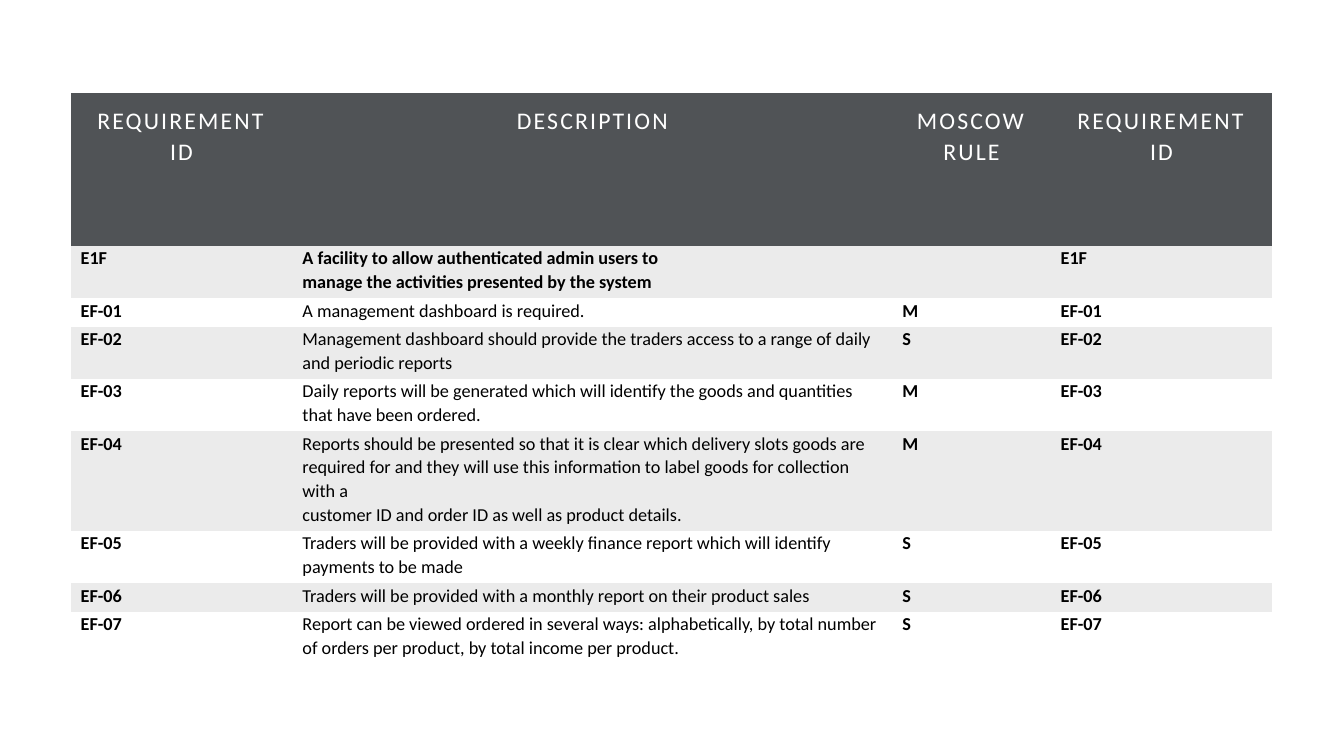
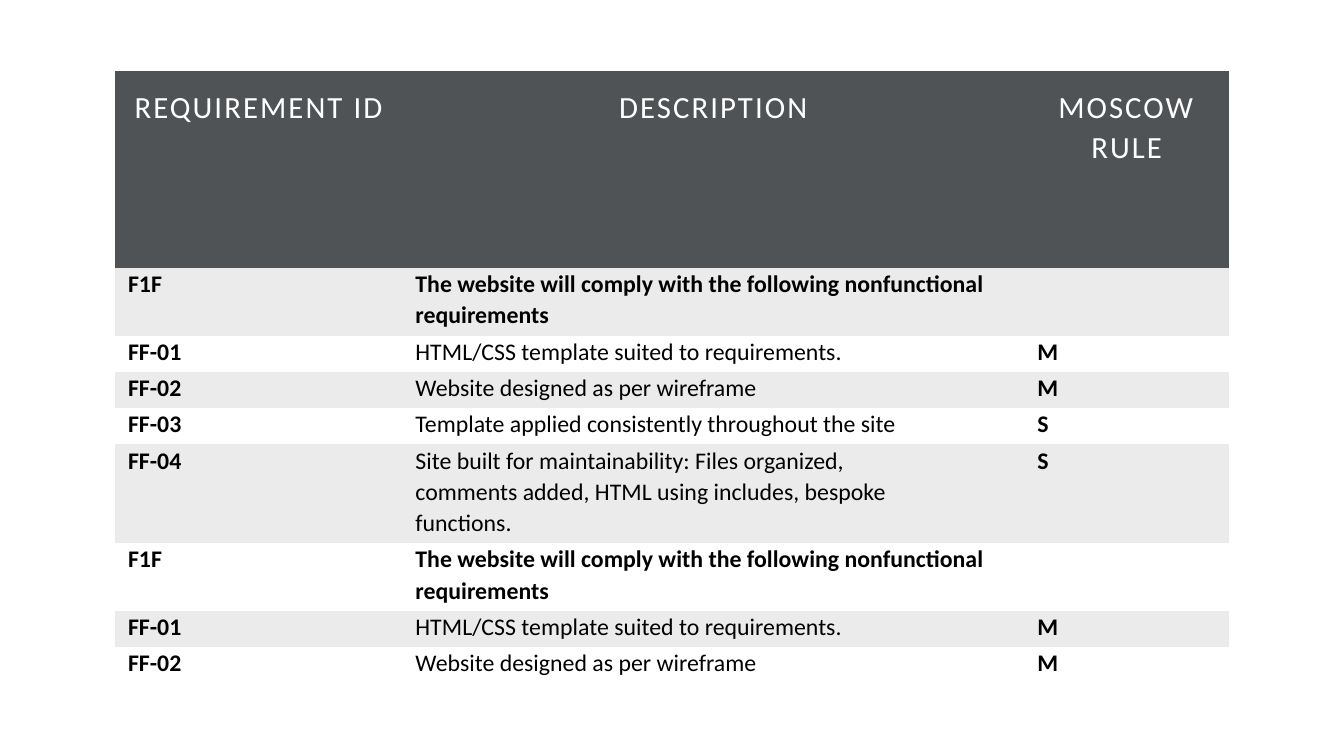
"""Build two slides of requirement tables with MoSCoW rules."""
from pptx import Presentation
from pptx import util as u
from pptx.dml.color import RGBColor
from pptx.enum import text

HUES = {"head": "505356", "band": "EBEBEB", "light": "FFFFFF", "ink": "000000"}
FACE = "Calibri"
PLAIN = "{2D5ABB26-0587-4C30-8999-92F81FD0307C}"
HEADS = ("REQUIREMENT ID", "DESCRIPTION", "MOSCOW RULE")

ADMIN = [
    ("E1F", "A facility to allow authenticated admin users to\n"
            "manage the activities presented by the system", ""),
    ("EF-01", "A management dashboard is required.", "M"),
    ("EF-02", "Management dashboard should provide the traders access to a range "
              "of daily and periodic reports", "S"),
    ("EF-03", "Daily reports will be generated which will identify the goods and "
              "quantities that have been ordered.", "M"),
    ("EF-04", "Reports should be presented so that it is clear which delivery slots "
              "goods are required for and they will use this information to label "
              "goods for collection with a\n"
              "customer ID and order ID as well as product details.", "M"),
    ("EF-05", "Traders will be provided with a weekly finance report which will "
              "identify payments to be made", "S"),
    ("EF-06", "Traders will be provided with a monthly report on their product sales",
     "S"),
    ("EF-07", "Report can be viewed ordered in several ways: alphabetically, by total "
              "number of orders per product, by total income per product.", "S"),
]
START = [
    ("F1F", "The website will comply with the following nonfunctional requirements", ""),
    ("FF-01", "HTML/CSS template suited to requirements.", "M"),
    ("FF-02", "Website designed as per wireframe", "M"),
]
SITE = START + [
    ("FF-03", "Template applied consistently throughout the site", "S"),
    ("FF-04", "Site built for maintainability: Files organized,\n"
              "comments added, HTML using includes, bespoke\nfunctions.", "S"),
] + START

SLIDES = [
    {"items": ADMIN, "at": (0.7, 0.92), "cols": (2.2, 5.95, 1.57, 2.2),
     "head": 1.52, "rows": {1: 0.28, 2: 0.52, 4: 0.99},
     "lines": (2, 1, 2, 2, 4, 2, 1, 2), "sizes": (17, 13), "pads": (0.12, 0.1)},
    {"items": SITE, "at": (1.14, 0.7), "cols": (2.85, 6.17, 2.03),
     "head": 1.96, "rows": {1: 0.36, 2: 0.67, 3: 0.98},
     "lines": (2, 1, 1, 1, 3, 2, 1, 1), "sizes": (22, 17), "pads": (0.16, 0.13)},
]


def shade(fill, hue):
    fill.solid()
    fill.fore_color.rgb = RGBColor.from_string(HUES[hue])


def write(cell, words, size, pad, head, bold):
    edges = {"margin_left": pad, "margin_right": pad,
             "margin_top": pad if head else 0, "margin_bottom": pad if head else 0}
    for name, value in edges.items():
        setattr(cell, name, u.Inches(value))
    cell.text = words
    look = {"name": FACE, "size": u.Pt(size), "bold": bold}
    for para in cell.text_frame.paragraphs:
        para.line_spacing = 1.07
        para.alignment = text.PP_ALIGN.CENTER if head else text.PP_ALIGN.LEFT
        for run in para.runs:
            for name, value in look.items():
                setattr(run.font, name, value)
            run.font.color.rgb = RGBColor.from_string(HUES["light" if head else "ink"])
            if head:
                run.font._element.set("spc", "150")


def draw(slide, plan):
    cols = plan["cols"]
    tall = [plan["head"]] + [plan["rows"][n] for n in plan["lines"]]
    box = (*plan["at"], sum(cols), sum(tall))
    table = slide.shapes.add_table(len(tall), len(cols), *map(u.Inches, box)).table
    table._tbl.tblPr[0].text = PLAIN
    for col, width in zip(table.columns, cols):
        col.width = u.Inches(width)
    for r, (line, high) in enumerate(zip([HEADS] + plan["items"], tall)):
        table.rows[r].height = u.Inches(high)
        head = r == 0
        size, pad = plan["sizes"][not head], plan["pads"][not head]
        hue = "head" if head else "band" if r % 2 else "light"
        for c in range(len(cols)):
            cell = table.cell(r, c)
            shade(cell.fill, hue)
            bold = not head and (c != 1 or not line[2])
            write(cell, line[c % len(line)], size, pad, head, bold)


def main():
    deck = Presentation()
    deck.slide_width, deck.slide_height = u.Inches(13.33), u.Inches(7.5)
    for plan in SLIDES:
        slide = deck.slides.add_slide(deck.slide_layouts[6])
        shade(slide.background.fill, "light")
        draw(slide, plan)
    deck.save("out.pptx")


if __name__ == "__main__":
    main()
